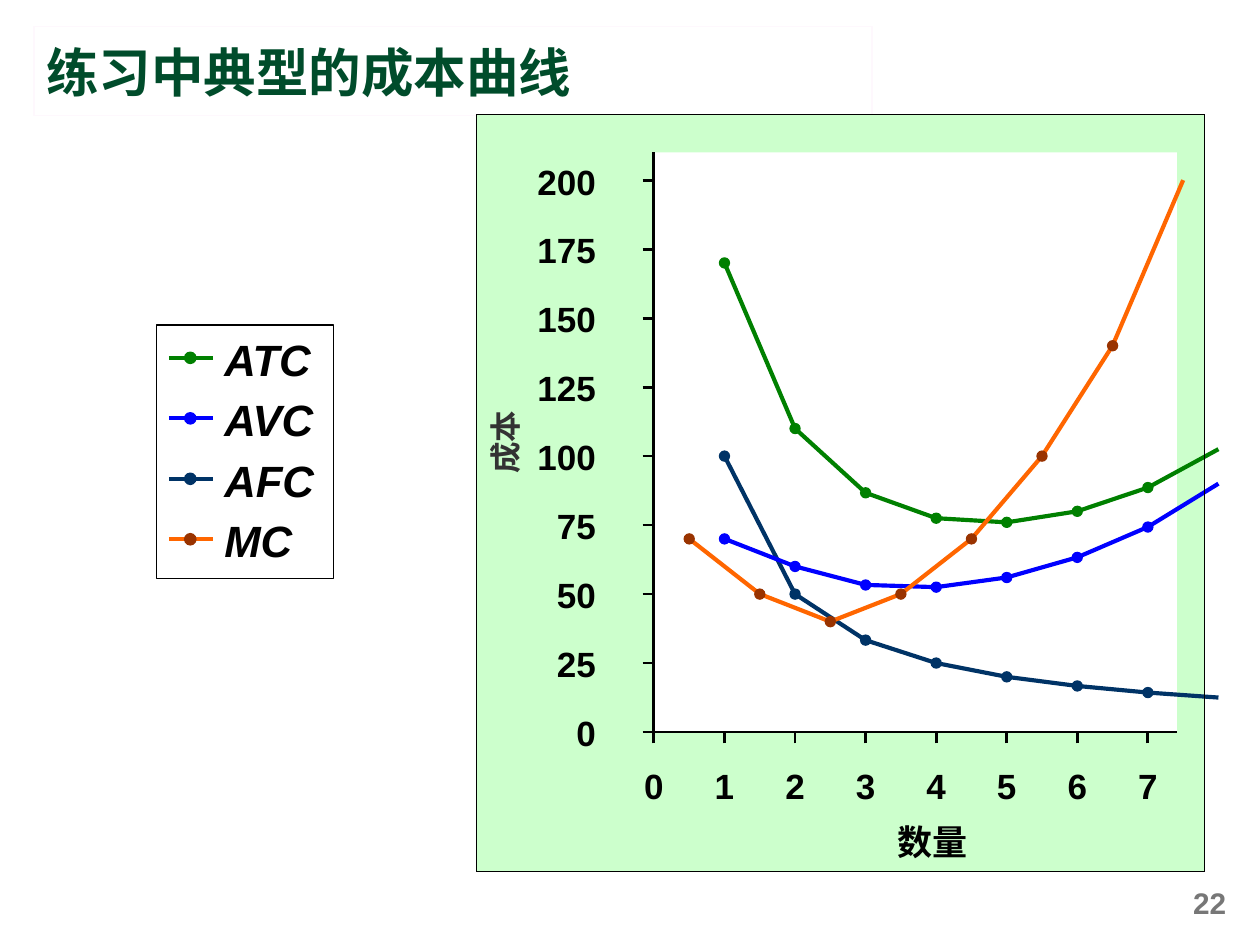
from lxml import etree
from pptx import Presentation
from pptx.dml.color import RGBColor
from pptx.enum.shapes import MSO_CONNECTOR, MSO_SHAPE
from pptx.enum.text import MSO_ANCHOR, PP_ALIGN
from pptx.oxml.ns import qn
from pptx.util import Inches, Pt

LEFT, CENTER, RIGHT = PP_ALIGN.LEFT, PP_ALIGN.CENTER, PP_ALIGN.RIGHT
MIDDLE, TOP = MSO_ANCHOR.MIDDLE, MSO_ANCHOR.TOP
RECTANGLE, OVAL = MSO_SHAPE.RECTANGLE, MSO_SHAPE.OVAL
STRAIGHT = MSO_CONNECTOR.STRAIGHT

# Content
TITLE = "练习中典型的成本曲线"
COST_LABEL, QUANTITY_LABEL = "成本", "数量"
PAGE_NUMBER = "22"
COLORS = {
    "white": "FFFFFF", "black": "000000", "panel": "CCFFCC",
    "title": "004C2B", "title border": "FEF8FD",
    "page number": "777777", "cost label": "333333",
    "navy": "003366", "blue": "0000FF", "green": "008000",
    "orange": "FF6600", "brown": "993300",
}
# Name, line colour, marker colour, first quantity, costs at steps of one unit
CURVES = [
    ("AFC", "navy", "navy", 1, [100, 50, 33.3, 25, 20, 16.7, 14.3, 12.5]),
    ("AVC", "blue", "blue", 1, [70, 60, 53.3, 52.5, 56, 63.3, 74.3, 90]),
    ("ATC", "green", "green", 1, [170, 110, 86.7, 77.5, 76, 80, 88.6, 102.5]),
    ("MC", "orange", "brown", 0.5, [70, 50, 40, 50, 70, 100, 140, 200]),
]
LEGEND_ORDER = ["ATC", "AVC", "AFC", "MC"]
COST_TICKS = range(0, 201, 25)
QUANTITY_TICKS = range(8)

# Geometry in inches
PANEL = (3.78, 0.91, 5.78, 6.01)
PLOT_LEFT, PLOT_TOP, PLOT_WIDTH, PLOT_HEIGHT = 5.19, 1.21, 4.15, 4.6
PLOT_RIGHT, PLOT_BOTTOM = PLOT_LEFT + PLOT_WIDTH, PLOT_TOP + PLOT_HEIGHT
UNIT_WIDTH = 0.56
COST_HEIGHT = 4.38 / 200
TICK_LENGTH = 0.09
CURVE_WEIGHT, AXIS_WEIGHT = 2.38, 1.62

presentation = Presentation()
presentation.slide_width, presentation.slide_height = Inches(10), Inches(7.5)
slide = presentation.slides.add_slide(presentation.slide_layouts[6])


def rgb(name):
    return RGBColor.from_string(COLORS[name])


def x_at(quantity):
    return PLOT_LEFT + quantity * UNIT_WIDTH


def y_at(cost):
    return PLOT_BOTTOM - cost * COST_HEIGHT


def add_shape(kind, box, fill=None, line=None, weight=0):
    shape = slide.shapes.add_shape(kind, *map(Inches, box))
    shape.shadow.inherit = False
    if fill:
        shape.fill.solid()
        shape.fill.fore_color.rgb = rgb(fill)
    else:
        shape.fill.background()
    if line:
        shape.line.color.rgb = rgb(line)
        shape.line.width = Pt(weight)
    else:
        shape.line.fill.background()
    return shape


def add_dot(x, y, size, color):
    add_shape(OVAL, (x - size / 2, y - size / 2, size, size), color, color, 0.75)


def add_line(x1, y1, x2, y2, color, weight):
    line = slide.shapes.add_connector(STRAIGHT, *map(Inches, (x1, y1, x2, y2)))
    line.line.color.rgb = rgb(color)
    line.line.width = Pt(weight)
    etree.SubElement(line._element.spPr, qn("a:effectLst"))


def write(shape, text, size, color="black", align=LEFT, anchor=TOP,
          italic=False, margins=(0, 0), wrap=False):
    frame = shape.text_frame
    frame.text = text
    frame.word_wrap = wrap
    frame.vertical_anchor = anchor
    frame.margin_left = frame.margin_right = Inches(margins[0])
    frame.margin_top = frame.margin_bottom = Inches(margins[1])
    paragraph = frame.paragraphs[0]
    paragraph.alignment = align
    font = paragraph.runs[0].font
    font.name, font.size = "Arial", Pt(size)
    font.bold, font.italic = True, italic
    font.color.rgb = rgb(color)


def add_label(box, text, size, **style):
    label = slide.shapes.add_textbox(*map(Inches, box))
    write(label, text, size, **style)
    return label


def add_curve(line_color, marker_color, first_quantity, costs):
    points = [(x_at(first_quantity + i), y_at(cost)) for i, cost in enumerate(costs)]
    vertices = [(Inches(x), Inches(y)) for x, y in points]
    builder = slide.shapes.build_freeform(*vertices[0])
    builder.add_line_segments(vertices[1:], close=False)
    curve = builder.convert_to_shape()
    curve.shadow.inherit = False
    curve.fill.background()
    curve.line.color.rgb = rgb(line_color)
    curve.line.width = Pt(CURVE_WEIGHT)
    for x, y in points[:-1]:
        add_dot(x, y, 0.08, marker_color)


# Page number and title
add_label((9.08, 6.97, 0.75, 0.4), PAGE_NUMBER, 17, color="page number",
          align=RIGHT, margins=(0.1, 0.05), wrap=True)
title = add_shape(RECTANGLE, (0.27, 0.21, 6.65, 0.71), "white", "title border", 0.75)
write(title, TITLE, 30, "title", anchor=MIDDLE, margins=(0.1, 0.05), wrap=True)

# Panel, plot area and curves
add_shape(RECTANGLE, PANEL, "panel", "black")
add_shape(RECTANGLE, (PLOT_LEFT, PLOT_TOP, PLOT_WIDTH, PLOT_HEIGHT), "white")
for name, *curve in CURVES:
    add_curve(*curve)

# Legend
add_shape(RECTANGLE, (1.24, 2.58, 1.41, 2.01), "white", "black")
curve_colors = {name: (line, marker) for name, line, marker, *rest in CURVES}
for row, name in enumerate(LEGEND_ORDER):
    line_color, marker_color = curve_colors[name]
    y = 2.84 + row * 0.48
    add_line(1.34, y, 1.69, y, line_color, CURVE_WEIGHT)
    add_dot(1.51, y, 0.09, marker_color)
    add_label((1.78, y - 0.2, 0.72, 0.42), name, 25, italic=True)

# Axes with ticks and numbers
add_line(PLOT_LEFT, PLOT_TOP, PLOT_LEFT, PLOT_BOTTOM, "black", AXIS_WEIGHT)
add_line(PLOT_LEFT, PLOT_BOTTOM, PLOT_RIGHT, PLOT_BOTTOM, "black", AXIS_WEIGHT)
for quantity in QUANTITY_TICKS:
    x = x_at(quantity)
    add_line(x, PLOT_BOTTOM + TICK_LENGTH, x, PLOT_BOTTOM, "black", AXIS_WEIGHT)
    add_label((x - 0.08, 6.07, 0.16, 0.33), str(quantity), 20, align=CENTER)
for cost in COST_TICKS:
    y, text = y_at(cost), str(cost)
    width = 0.16 * len(text)
    add_line(PLOT_LEFT - TICK_LENGTH, y, PLOT_LEFT, y, "black", AXIS_WEIGHT)
    add_label((4.73 - width, y - 0.16, width, 0.33), text, 20, align=RIGHT)

# Axis titles and panel border
add_label((7.12, 6.51, 0.56, 0.33), QUANTITY_LABEL, 20)
cost_title = add_label((3.76, 3.36, 0.5, 0.3), COST_LABEL, 18, color="cost label")
cost_title.rotation = 270
add_shape(RECTANGLE, PANEL, line="black")

presentation.save("out.pptx")
